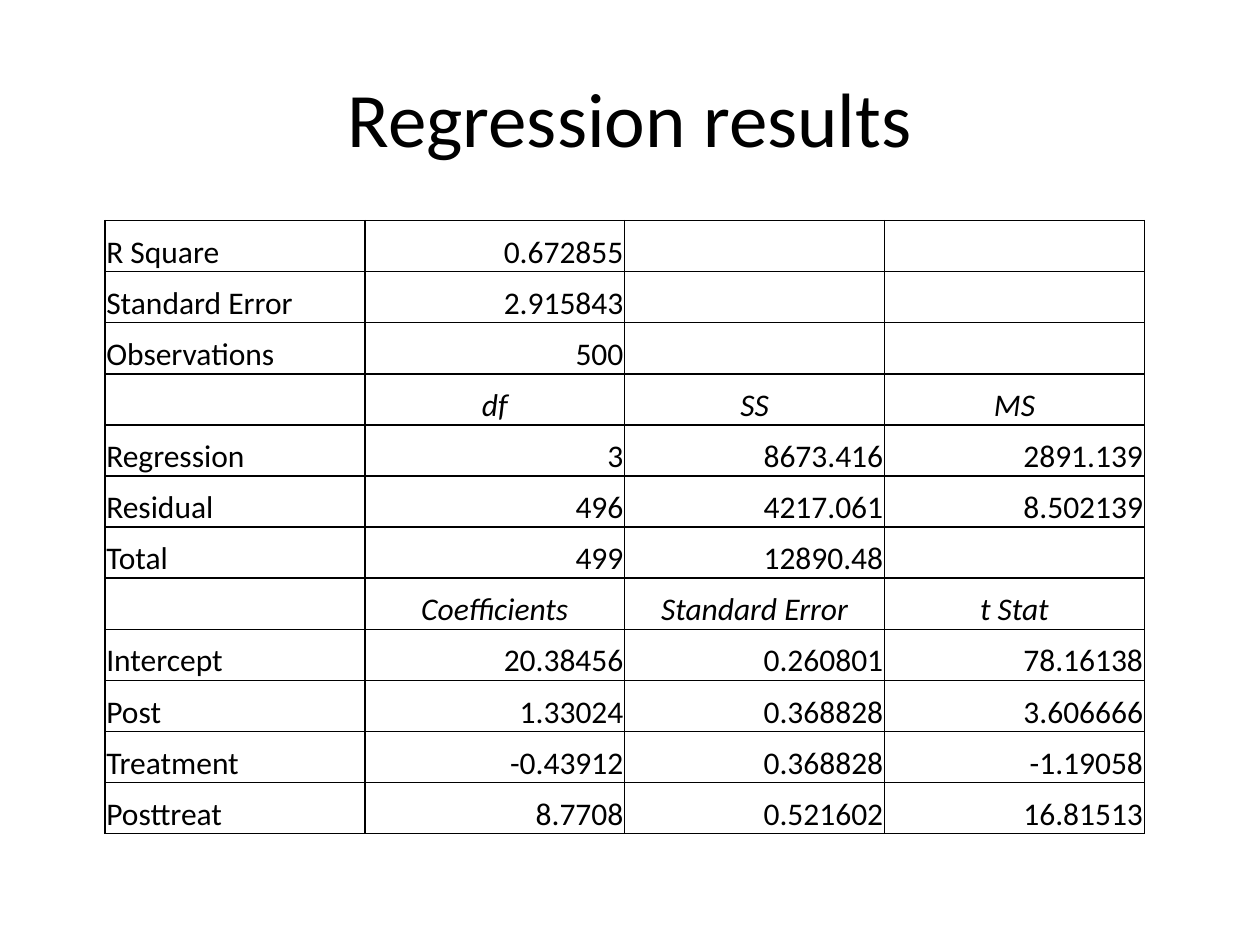
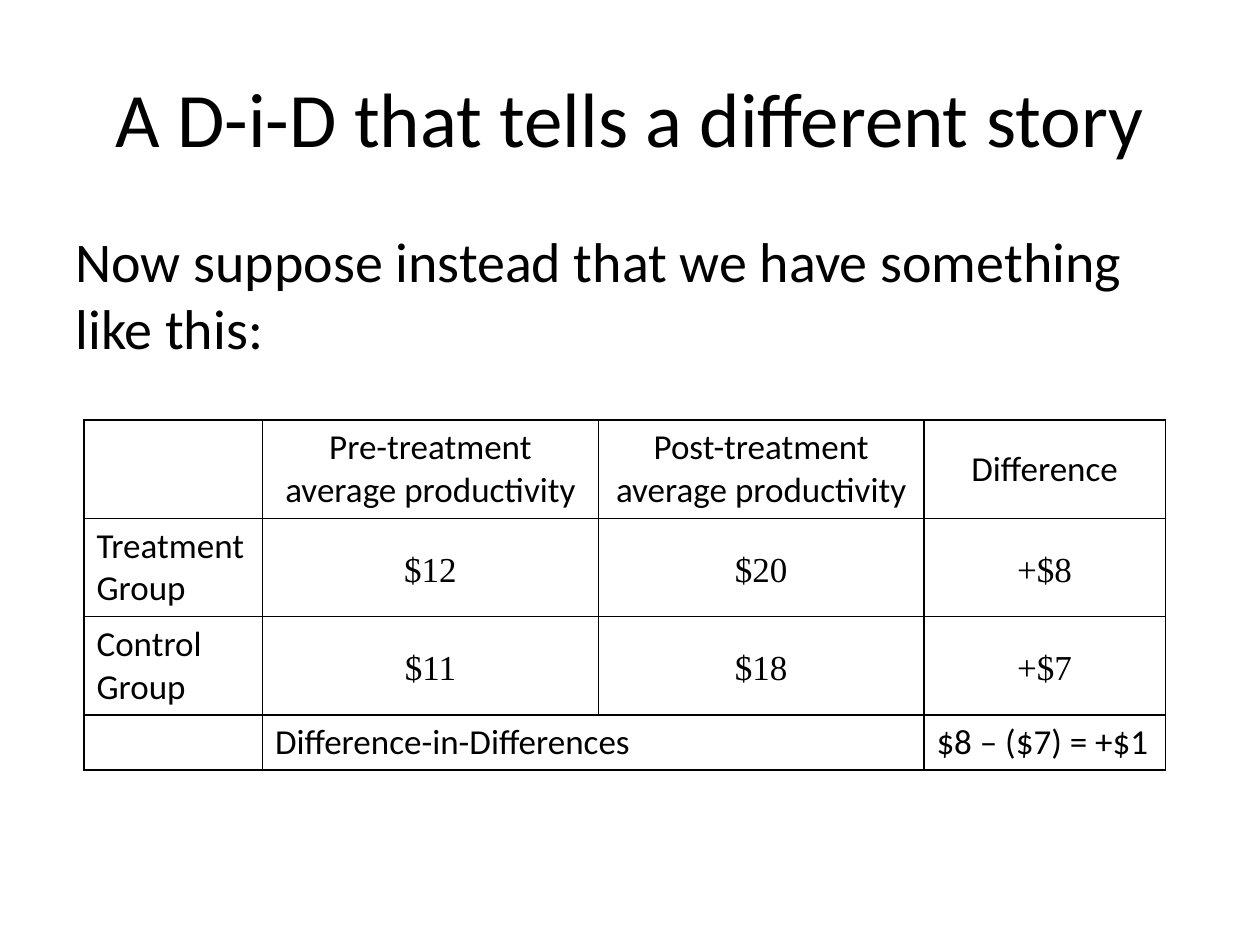
import pptx
import pptx.util
import pptx.dml.color
import pptx.enum.text
import pptx.oxml
import pptx.oxml.ns

Pt = pptx.util.Pt
ALIGN = pptx.enum.text.PP_ALIGN
ANCHOR = pptx.enum.text.MSO_ANCHOR
COLORS = {"text": "000000", "border": "000000", "background": "FFFFFF"}
BODY_FONT = "Calibri"
FIGURE_FONT = "Times New Roman"


def write_text(frame, text, size, align, font=BODY_FONT, italic=False, spacing=None):
    """Fill a text frame, one paragraph for each line of text."""
    frame.word_wrap = True
    for index, line in enumerate(text.split("\n")):
        paragraph = frame.paragraphs[0] if index == 0 else frame.add_paragraph()
        paragraph.alignment = align
        paragraph.line_spacing = spacing
        run = paragraph.add_run()
        run.text = line
        run.font.name = font
        run.font.size = Pt(size)
        run.font.italic = italic
        run.font.color.rgb = pptx.dml.color.RGBColor.from_string(COLORS["text"])


def add_grid(slide, left, top, widths, heights):
    """Add an unfilled table with a thin border round every cell."""
    table = slide.shapes.add_table(len(heights), len(widths), Pt(left), Pt(top),
                                   Pt(sum(widths)), Pt(sum(heights))).table
    table.first_row = table.horz_banding = False
    for column, width in zip(table.columns, widths):
        column.width = Pt(width)
    for row, height in zip(table.rows, heights):
        row.height = Pt(height)
    for cell in table.iter_cells():
        properties = cell._tc.get_or_add_tcPr()
        for side in ("lnL", "lnR", "lnT", "lnB"):
            properties.append(pptx.oxml.parse_xml(
                f'<a:{side} {pptx.oxml.ns.nsdecls("a")} w="{Pt(1)}"><a:solidFill>'
                f'<a:srgbClr val="{COLORS["border"]}"/></a:solidFill></a:{side}>'))
        cell.fill.background()
    return table


presentation = pptx.Presentation()
presentation.slide_width = Pt(720)
presentation.slide_height = Pt(540)

# Slides with their shared title style
slides = []
for title_text in ("Regression results", "A D-i-D that tells a different story"):
    slide = presentation.slides.add_slide(presentation.slide_layouts[5])
    slide.background.fill.solid()
    slide.background.fill.fore_color.rgb = pptx.dml.color.RGBColor.from_string(COLORS["background"])
    title = slide.shapes.title
    title.left, title.top, title.width, title.height = Pt(36), Pt(21.6), Pt(648), Pt(90)
    title.text_frame.vertical_anchor = ANCHOR.MIDDLE
    write_text(title.text_frame, title_text, 44, ALIGN.CENTER)
    slides.append(slide)
regression_slide, story_slide = slides

# Regression output: labels left, figures right, header rows centred in italics
regression_rows = [
    ["R Square", "0.672855", "", ""],
    ["Standard Error", "2.915843", "", ""],
    ["Observations", "500", "", ""],
    ["", "df", "SS", "MS"],
    ["Regression", "3", "8673.416", "2891.139"],
    ["Residual", "496", "4217.061", "8.502139"],
    ["Total", "499", "12890.48", ""],
    ["", "Coefficients", "Standard Error", "t Stat"],
    ["Intercept", "20.38456", "0.260801", "78.16138"],
    ["Post", "1.33024", "0.368828", "3.606666"],
    ["Treatment", "-0.43912", "0.368828", "-1.19058"],
    ["Posttreat", "8.7708", "0.521602", "16.81513"],
]
regression_table = add_grid(regression_slide, 60, 126, [148.5] * 4,
                            [29.2] * len(regression_rows))
for row_index, values in enumerate(regression_rows):
    is_header = values[0] == ""
    for column_index, value in enumerate(values):
        if not value:
            continue
        cell = regression_table.cell(row_index, column_index)
        cell.margin_left = cell.margin_right = cell.margin_top = Pt(0.75)
        cell.margin_bottom = 0
        cell.vertical_anchor = ANCHOR.BOTTOM
        if is_header:
            align = ALIGN.CENTER
        else:
            align = ALIGN.LEFT if column_index == 0 else ALIGN.RIGHT
        write_text(cell.text_frame, value, 18, align, italic=is_header)

# Lead-in sentence
lead_in = story_slide.shapes.add_textbox(Pt(36), Pt(126), Pt(648), Pt(356.4))
write_text(lead_in.text_frame, "Now suppose instead that we have something like this:",
           32, ALIGN.LEFT)

# Difference-in-differences table
story_rows = [
    ["", "Pre-treatment average productivity", "Post-treatment\naverage productivity", "Difference"],
    ["Treatment\nGroup", "$12", "$20", "+$8"],
    ["Control\nGroup", "$11", "$18", "+$7"],
    ["", "Difference-in-Differences", "", "$8 – ($7) = +$1"],
]
story_table = add_grid(story_slide, 48, 240, [102, 192, 186, 138], [56.2, 56.2, 56.2, 31.6])
story_table.cell(3, 1).merge(story_table.cell(3, 2))
for row_index, values in enumerate(story_rows):
    for column_index, value in enumerate(values):
        if not value:
            continue
        cell = story_table.cell(row_index, column_index)
        is_figure = row_index in (1, 2) and column_index > 0
        is_centred = is_figure or row_index == 0
        cell.vertical_anchor = ANCHOR.MIDDLE if is_centred else ANCHOR.TOP
        if is_figure:
            cell.margin_left = cell.margin_right = Pt(5)
            cell.margin_top = cell.margin_bottom = 0
        write_text(cell.text_frame, value, 20, ALIGN.CENTER if is_centred else ALIGN.LEFT,
                   font=FIGURE_FONT if is_figure else BODY_FONT,
                   spacing=1.15 if is_figure else None)

presentation.save("out.pptx")
